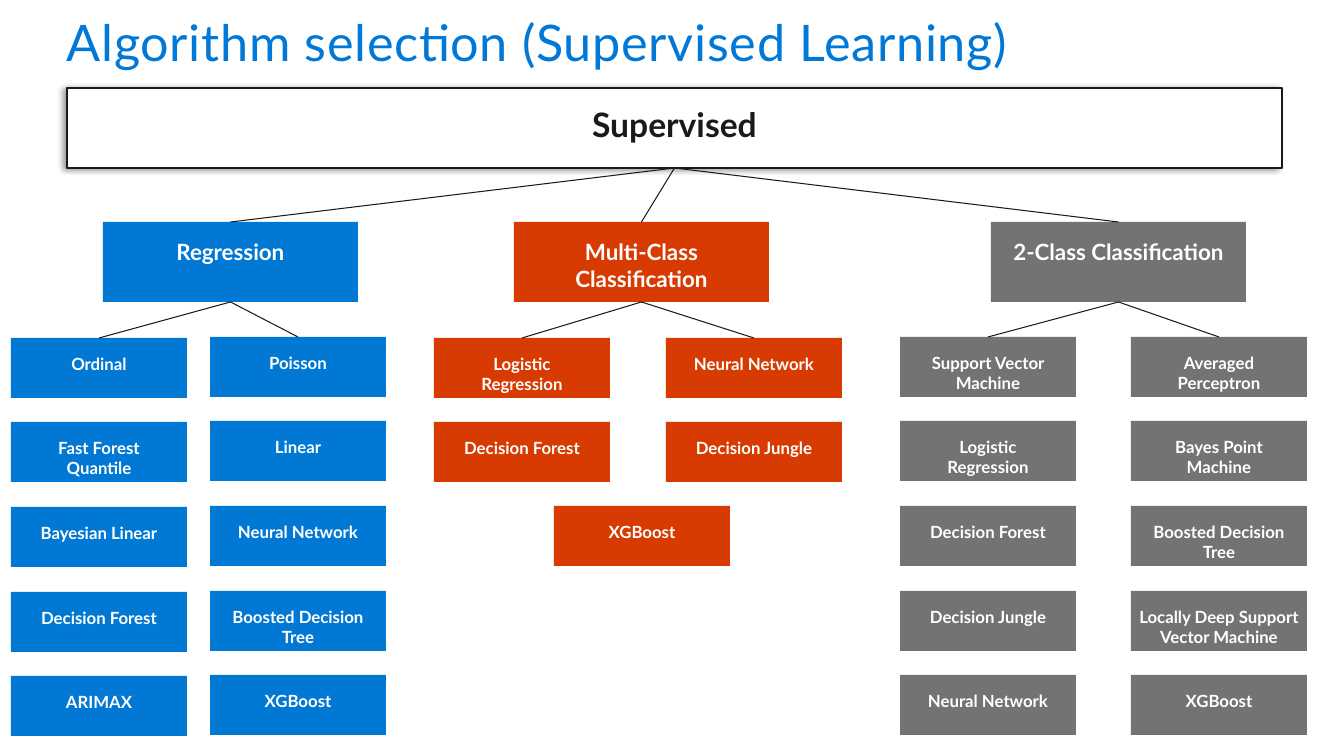
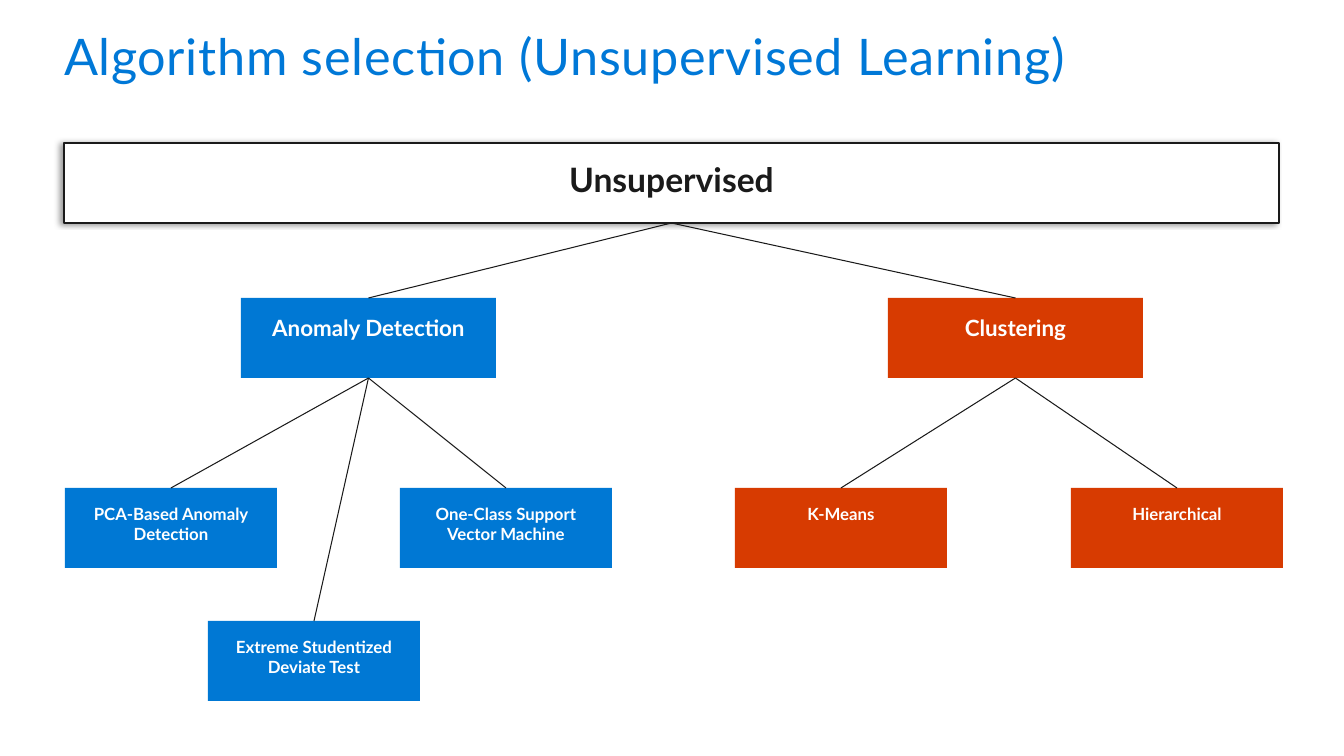
from collections import namedtuple

from lxml import etree
from pptx import Presentation
from pptx import util as u
from pptx.dml.color import RGBColor
from pptx.enum import shapes, text
from pptx.oxml.ns import qn

PX = 12192000 / 1344
FONT = "Lato"
TITLE_BLUE = RGBColor(0x00, 0x78, 0xD7)
BLUE = RGBColor(0x00, 0x78, 0xD4)
ORANGE = RGBColor(0xD7, 0x3B, 0x01)
GRAY = RGBColor(0x73, 0x73, 0x73)
WHITE = RGBColor(0xFF, 0xFF, 0xFF)
INK = RGBColor(0x1A, 0x1A, 0x1A)

ROOT_SIZE = (1215, 80)
HEAD_SIZE = (255, 80)
ROW_PITCH = 84.5
SIDE_INSET = 20
LONG_LABEL = "Locally Deep Support Vector Machine"
LONG_LABEL_INSET = 4
BOTTOM, TOP = 2, 0

Column = namedtuple("Column", "dx dy names linked", defaults=[True])
Group = namedtuple("Group", "left name color columns")
Tree = namedtuple("Tree", "title title_at root root_at head_top leaf_size groups")

SUPERVISED = Tree(
    "Algorithm selection (Supervised Learning)", (67, 11),
    "Supervised", (67, 88), 222, (176, 60),
    [
        Group(103, "Regression", BLUE, [
            Column(-92, 116, ["Ordinal", "Fast Forest Quantile", "Bayesian Linear",
                              "Decision Forest", "ARIMAX"]),
            Column(107, 115, ["Poisson", "Linear", "Neural Network",
                              "Boosted Decision Tree", "XGBoost"]),
        ]),
        Group(514, "Multi-Class Classification", ORANGE, [
            Column(-80, 116, ["Logistic Regression", "Decision Forest"]),
            Column(152, 116, ["Neural Network", "Decision Jungle"]),
            Column(40, 284, ["XGBoost"], False),
        ]),
        Group(991, "2-Class Classification", GRAY, [
            Column(-91, 115, ["Support Vector Machine", "Logistic Regression",
                              "Decision Forest", "Decision Jungle", "Neural Network"]),
            Column(140, 115, ["Averaged Perceptron", "Bayes Point Machine",
                              "Boosted Decision Tree", LONG_LABEL, "XGBoost"]),
        ]),
    ])

UNSUPERVISED = Tree(
    "Algorithm selection (Unsupervised Learning)", (64, 25),
    "Unsupervised", (64, 143), 298, (212, 80),
    [
        Group(241, "Anomaly Detection", BLUE, [
            Column(-176, 190, ["PCA-Based Anomaly Detection"]),
            Column(159, 190, ["One-Class Support Vector Machine"]),
            Column(-33, 323, ["Extreme Studentized Deviate Test"]),
        ]),
        Group(888, "Clustering", ORANGE, [
            Column(-153, 190, ["K-Means"]),
            Column(183, 190, ["Hierarchical"]),
        ]),
    ])


def px(length):
    """Turn a length in px into EMU."""
    return u.Emu(round(length * PX))


def style_font(font, size, color, bold):
    """Apply the shared typeface with a size, colour and weight."""
    font.name = FONT
    font.size = u.Pt(size)
    font.bold = bold
    font.color.rgb = color


def add_title(slide, title, left, top):
    """Place and format the title placeholder."""
    shape = slide.shapes.title
    shape.left, shape.top = px(left), px(top)
    shape.width, shape.height = px(ROOT_SIZE[0]), px(61)
    frame = shape.text_frame
    frame.text = title
    frame.word_wrap = True
    frame.auto_size = text.MSO_AUTO_SIZE.SHAPE_TO_FIT_TEXT
    frame.vertical_anchor = text.MSO_ANCHOR.TOP
    frame.margin_left = frame.margin_right = frame.margin_top = frame.margin_bottom = 0
    paragraph = frame.paragraphs[0]
    paragraph.alignment = text.PP_ALIGN.LEFT
    run = paragraph.runs[0]
    style_font(run.font, 36, TITLE_BLUE, False)
    run.font._element.set("spc", "50")


def add_box(slide, box, label, size, fill, color=WHITE):
    """Add a flat rectangle with a bold centred label."""
    shape = slide.shapes.add_shape(shapes.MSO_SHAPE.RECTANGLE, *map(px, box))
    shape.shadow.inherit = False
    shape.fill.solid()
    shape.fill.fore_color.rgb = fill
    shape.line.fill.background()
    frame = shape.text_frame
    frame.text = label
    frame.word_wrap = True
    frame.vertical_anchor = text.MSO_ANCHOR.TOP
    side = LONG_LABEL_INSET if label == LONG_LABEL else SIDE_INSET
    frame.margin_left = frame.margin_right = px(side)
    frame.margin_top = frame.margin_bottom = px(16)
    paragraph = frame.paragraphs[0]
    paragraph.alignment = text.PP_ALIGN.CENTER
    style_font(paragraph.runs[0].font, size, color, True)
    return shape


def add_root(slide, box, label):
    """Add the outlined root bar with a soft shadow on its left."""
    shape = add_box(slide, box, label, 24, WHITE, INK)
    shape.line.color.rgb = INK
    shape.line.width = u.Pt(1)
    effects = shape._element.spPr.find(qn("a:effectLst"))
    shadow = etree.SubElement(
        effects, qn("a:outerShdw"), blurRad=str(u.Pt(4)), dist=str(u.Pt(3)),
        dir="10800000", algn="r", rotWithShape="0")
    color = etree.SubElement(shadow, qn("a:srgbClr"), val="000000")
    etree.SubElement(color, qn("a:alpha"), val="40000")
    return shape


def add_link(slide, parent, child):
    """Join the bottom of a parent box to the top of a child box."""
    link = slide.shapes.add_connector(shapes.MSO_CONNECTOR.STRAIGHT, 0, 0, 0, 0)
    link.begin_connect(parent, BOTTOM)
    link.end_connect(child, TOP)
    link.line.color.rgb = INK
    link.line.width = u.Pt(0.75)
    etree.SubElement(link._element.spPr, qn("a:effectLst"))


def add_group(slide, top, group, leaf_size):
    """Add a category box and the columns of algorithms below it."""
    head = add_box(slide, (group.left, top, *HEAD_SIZE), group.name, 16, group.color)
    for column in group.columns:
        leaves = [
            add_box(slide, (group.left + column.dx,
                            top + column.dy + round(row * ROW_PITCH), *leaf_size),
                    name, 12, group.color)
            for row, name in enumerate(column.names)]
        if column.linked:
            add_link(slide, head, leaves[0])
    return head


def add_tree_slide(presentation, tree):
    """Add a slide with a title and a tree of algorithms."""
    slide = presentation.slides.add_slide(presentation.slide_layouts[5])
    add_title(slide, tree.title, *tree.title_at)
    root = add_root(slide, (*tree.root_at, *ROOT_SIZE), tree.root)
    for group in tree.groups:
        head = add_group(slide, tree.head_top, group, tree.leaf_size)
        add_link(slide, root, head)


def main():
    """Build and save the presentation."""
    presentation = Presentation()
    presentation.slide_width, presentation.slide_height = px(1344), px(756)
    for tree in (SUPERVISED, UNSUPERVISED):
        add_tree_slide(presentation, tree)
    presentation.save("out.pptx")


if __name__ == "__main__":
    main()
